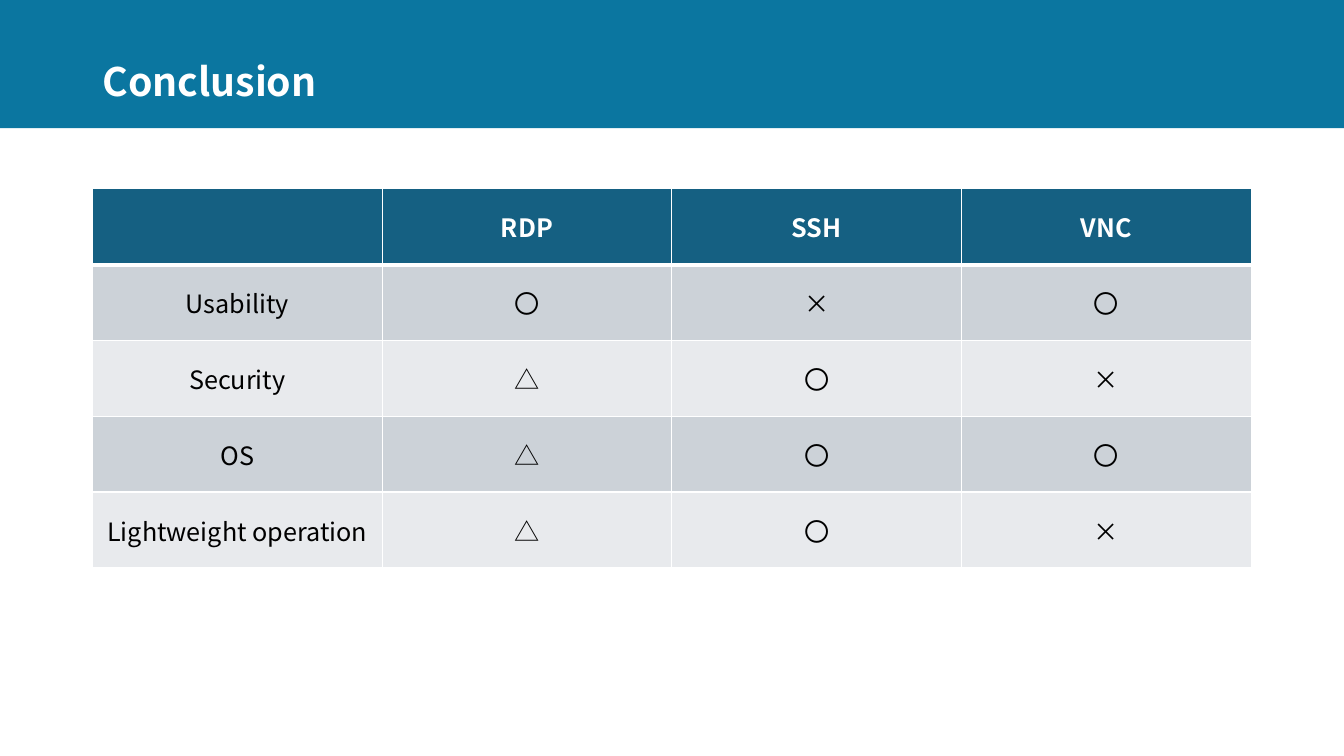
from lxml.etree import SubElement
from pptx import Presentation
from pptx.dml.color import RGBColor
from pptx.enum.shapes import MSO_SHAPE as Shape
from pptx.enum.text import MSO_ANCHOR as Anchor, PP_ALIGN as Align
from pptx.oxml.ns import qn
from pptx.util import Cm, Pt

FONT = "Noto Sans CJK JP"
WHITE, BLACK = "FFFFFF", "000000"
BAND, HEADER = "0B76A0", "156082"
STRIPES = ["E8EAED", "CCD2D8"]
ROWS = [
    ["", "RDP", "SSH", "VNC"],
    ["Usability", "〇", "×", "〇"],
    ["Security", "△", "〇", "×"],
    ["OS", "△", "〇", "〇"],
    ["Lightweight operation", "△", "〇", "×"],
]
LEFT, COLUMN_WIDTH, ROW_HEIGHT = 2.33, 7.3, 1.91


def paint(fill, color):
    fill.solid()
    fill.fore_color.rgb = RGBColor.from_string(color)


def write(frame, text, size=18, color=BLACK, bold=False, align=Align.CENTER):
    frame.vertical_anchor = Anchor.MIDDLE
    paragraph = frame.paragraphs[0]
    paragraph.alignment = align
    run = paragraph.add_run()
    run.text = text
    font = run.font
    font.name, font.size, font.bold = FONT, Pt(size), bold
    paint(font.fill, color)
    # The symbols take the East Asian typeface
    SubElement(font._element, qn("a:ea"), typeface=FONT)
    return paragraph


deck = Presentation()
deck.slide_width, deck.slide_height = Cm(33.87), Cm(19.05)
slide = deck.slides.add_slide(deck.slide_layouts[5])

band = slide.shapes.add_shape(Shape.RECTANGLE, 0, 0, deck.slide_width, Cm(3.23))
band.shadow.inherit = False
paint(band.fill, BAND)
band.line.fill.background()

title = slide.shapes.title
title.left, title.top, title.width, title.height = Cm(LEFT), Cm(1.01), Cm(29.2), Cm(2.22)
heading = write(title.text_frame, "Conclusion", size=28, color=WHITE, bold=True, align=Align.LEFT)
heading.line_spacing = 0.9
band._element.addnext(title._element)

comparison = slide.shapes.add_table(
    len(ROWS), len(ROWS[0]), Cm(LEFT), Cm(4.76),
    Cm(COLUMN_WIDTH * len(ROWS[0])), Cm(ROW_HEIGHT * len(ROWS))).table
for column in comparison.columns:
    column.width = Cm(COLUMN_WIDTH)

for r, labels in enumerate(ROWS):
    comparison.rows[r].height = Cm(ROW_HEIGHT)
    is_header = r == 0
    for c, label in enumerate(labels):
        cell = comparison.cell(r, c)
        cell.vertical_anchor = Anchor.MIDDLE
        borders = {"L": 1, "R": 1, "T": 3 if r == 1 else 1, "B": 3 if is_header else 1}
        for side, width in borders.items():
            line = SubElement(cell._tc.get_or_add_tcPr(), qn(f"a:ln{side}"), w=str(Pt(width)))
            SubElement(SubElement(line, qn("a:solidFill")), qn("a:srgbClr"), val=WHITE)
        paint(cell.fill, HEADER if is_header else STRIPES[r % 2])
        if label:
            write(cell.text_frame, label, color=WHITE if is_header else BLACK, bold=is_header)

deck.save("out.pptx")
